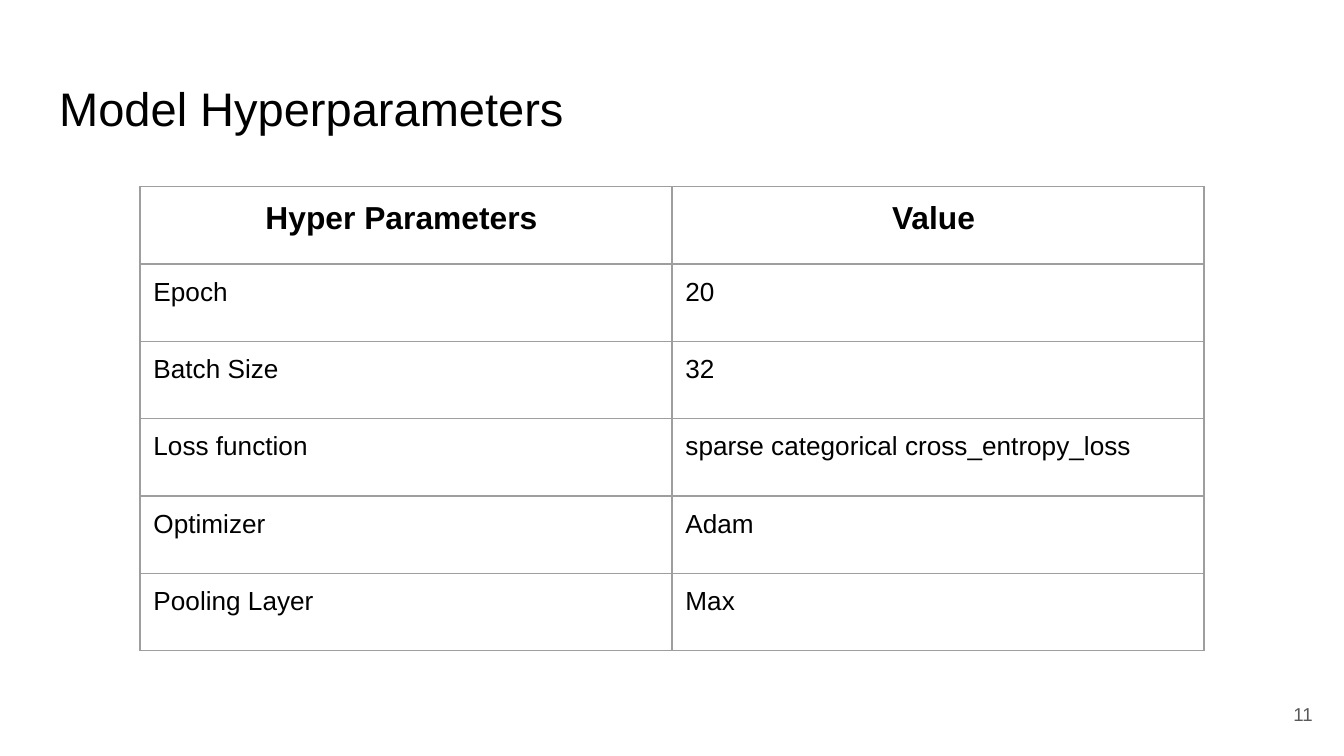
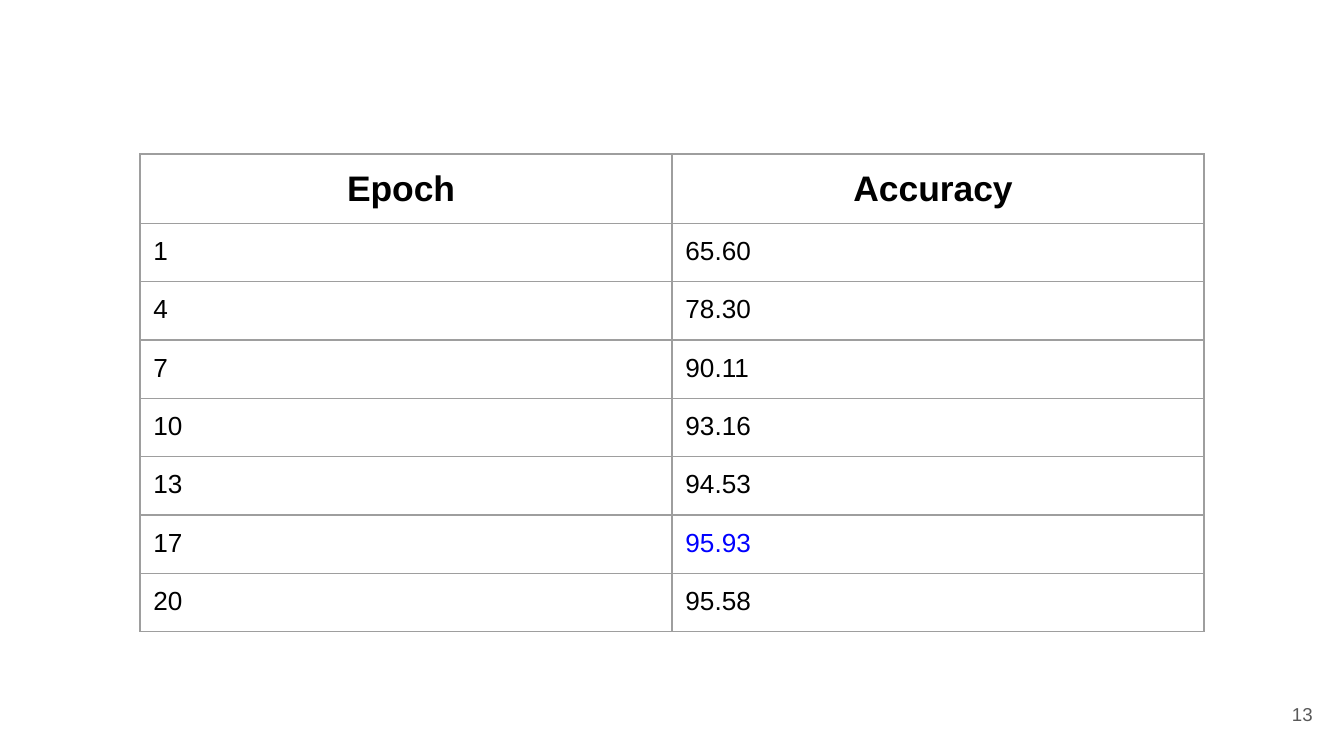
"""Build two table slides: model hyperparameters and accuracy by epoch."""
from lxml import etree
from pptx import Presentation
from pptx.dml.color import RGBColor
from pptx.enum.text import MSO_ANCHOR, PP_ALIGN
from pptx.oxml.ns import qn
from pptx.util import Pt

LEFT, CENTER, RIGHT = PP_ALIGN.LEFT, PP_ALIGN.CENTER, PP_ALIGN.RIGHT
TOP, MIDDLE = MSO_ANCHOR.TOP, MSO_ANCHOR.MIDDLE
TITLE_ONLY, BLANK = 5, 6
FONT = "Arial"
COLORS = {"text": "000000", "number": "595959", "border": "9E9E9E", "best": "0000FF"}
INSET = Pt(7.2)
BORDER = Pt(0.75)
TABLE_LEFT, COLUMN_WIDTH = 75, 285

HYPERPARAMETERS = [
    ("Hyper Parameters ", "Value "),
    ("Epoch", "20"),
    ("Batch Size", "32"),
    ("Loss function", "sparse categorical cross_entropy_loss"),
    ("Optimizer", "Adam"),
    ("Pooling Layer", "Max"),
]
ACCURACY = [
    ("Epoch ", "Accuracy "),
    ("1", "65.60"),
    ("4", "78.30"),
    ("7", "90.11"),
    ("10", "93.16"),
    ("13", "94.53"),
    ("17", "95.93"),
    ("20", "95.58"),
]
BEST_ACCURACY = "95.93"


def set_text(tf, text, size, color="text", bold=False, align=LEFT):
    """Fill a text frame with one formatted paragraph."""
    tf.text = text
    p = tf.paragraphs[0]
    p.alignment = align
    font = p.runs[0].font
    font.name, font.size, font.bold = FONT, Pt(size), bold
    font.color.rgb = RGBColor.from_string(COLORS[color])


def set_insets(box):
    """Give a cell or text frame the shared margins."""
    box.margin_left = box.margin_right = box.margin_top = box.margin_bottom = INSET


def add_title(s, text):
    """Place and format the title placeholder."""
    title = s.shapes.title
    title.left, title.top, title.width, title.height = Pt(24.5), Pt(35), Pt(671), Pt(45.1)
    tf = title.text_frame
    set_insets(tf)
    tf.vertical_anchor = MIDDLE
    set_text(tf, text, 25.2)


def add_page_number(s, number):
    """Add the page number at the lower right."""
    tf = s.shapes.add_textbox(Pt(667.1), Pt(367.2), Pt(43.2), Pt(31)).text_frame
    tf.word_wrap = True
    tf.vertical_anchor = MIDDLE
    set_insets(tf)
    set_text(tf, str(number), 10, "number", align=RIGHT)


def add_borders(cell):
    """Draw a thin line on all four sides of a cell."""
    tcPr = cell._tc.get_or_add_tcPr()
    for side in ("lnL", "lnR", "lnT", "lnB"):
        line = etree.SubElement(tcPr, qn(f"a:{side}"), w=str(BORDER))
        fill = etree.SubElement(line, qn("a:solidFill"))
        etree.SubElement(fill, qn("a:srgbClr"), val=COLORS["border"])


def add_data_table(s, rows, top, row_height, header_size, header_anchor=TOP, highlight=None):
    """Add a bordered table with a bold centred header row."""
    columns = len(rows[0])
    frame = s.shapes.add_table(len(rows), columns, Pt(TABLE_LEFT), Pt(top),
                               Pt(COLUMN_WIDTH * columns), Pt(row_height * len(rows)))
    table = frame.table
    table.first_row = table.horz_banding = False
    for column in table.columns:
        column.width = Pt(COLUMN_WIDTH)
    for i, values in enumerate(rows):
        table.rows[i].height = Pt(row_height)
        for j, value in enumerate(values):
            cell = table.cell(i, j)
            add_borders(cell)
            cell.fill.background()
            set_insets(cell)
            if i == 0:
                cell.vertical_anchor = header_anchor
                set_text(cell.text_frame, value, header_size, bold=True, align=CENTER)
            else:
                color = "best" if value == highlight else "text"
                set_text(cell.text_frame, value, 14, color)


def main():
    """Build and save the presentation."""
    prs = Presentation()
    prs.slide_width, prs.slide_height = Pt(720), Pt(405)

    s = prs.slides.add_slide(prs.slide_layouts[TITLE_ONLY])
    add_title(s, "Model Hyperparameters")
    add_data_table(s, HYPERPARAMETERS, 100, 41.45, 17)
    add_page_number(s, 11)

    s = prs.slides.add_slide(prs.slide_layouts[BLANK])
    add_page_number(s, 13)
    add_data_table(s, ACCURACY, 82.5, 30.1, 19, MIDDLE, BEST_ACCURACY)

    prs.save("out.pptx")


if __name__ == "__main__":
    main()
